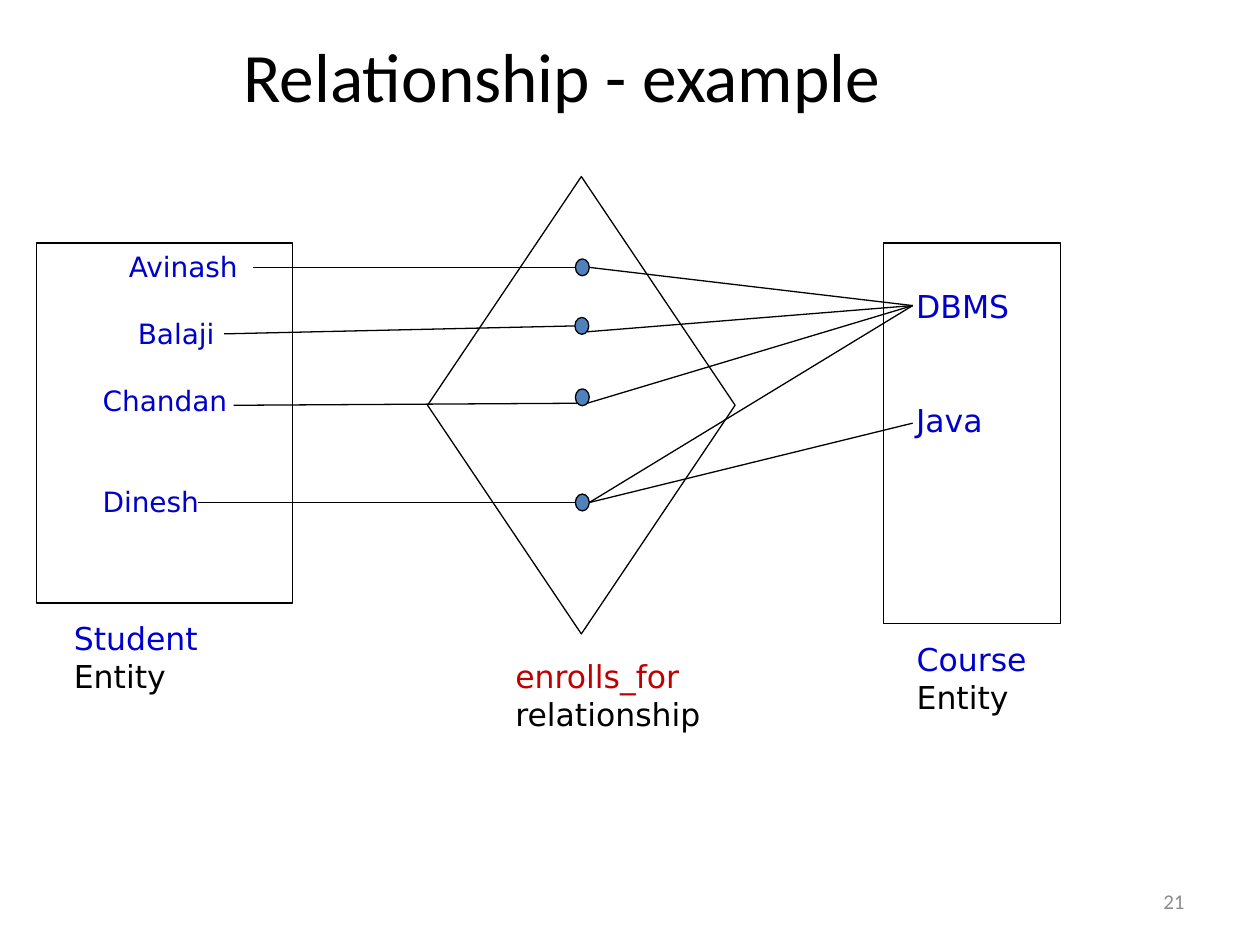
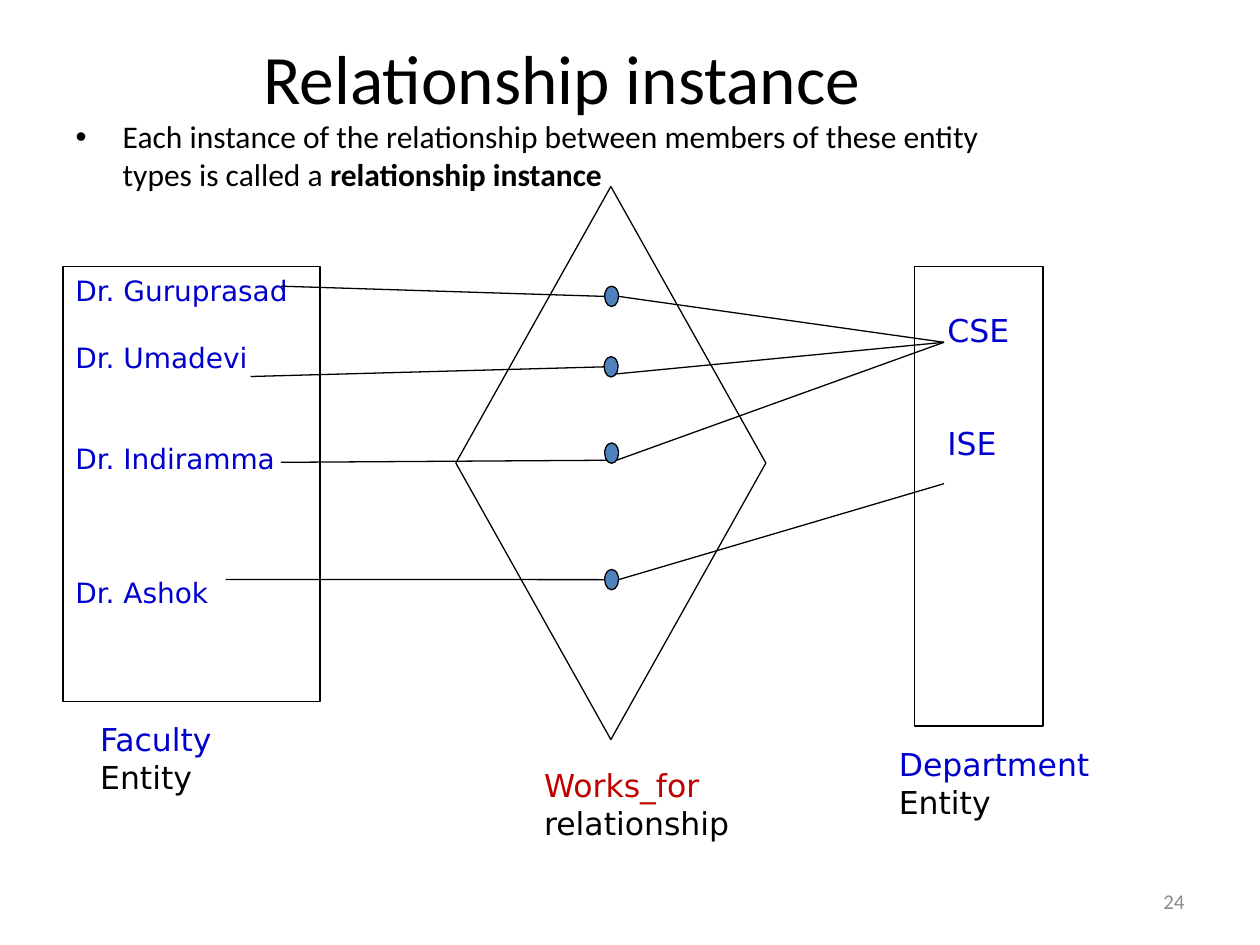
from dataclasses import dataclass

from lxml import etree
from pptx import Presentation
from pptx.dml.color import RGBColor
from pptx.enum.shapes import MSO_CONNECTOR, MSO_SHAPE
from pptx.enum.text import MSO_ANCHOR, MSO_AUTO_SIZE, PP_ALIGN
from pptx.oxml.ns import qn
from pptx.util import Cm, Pt

RECT, DIAMOND, OVAL = MSO_SHAPE.RECTANGLE, MSO_SHAPE.DIAMOND, MSO_SHAPE.OVAL
STRAIGHT = MSO_CONNECTOR.STRAIGHT
TOP, MIDDLE = MSO_ANCHOR.TOP, MSO_ANCHOR.MIDDLE
LEFT, CENTER, RIGHT = PP_ALIGN.LEFT, PP_ALIGN.CENTER, PP_ALIGN.RIGHT
NO_AUTOFIT, GROW = MSO_AUTO_SIZE.NONE, MSO_AUTO_SIZE.SHAPE_TO_FIT_TEXT

BLACK, BLUE, RED, GREY, DOT_BLUE = "000000", "0000CC", "C00000", "8C8C8C", "4F81BD"
HEADING_FONT, DIAGRAM_FONT = "Calibri", "DejaVu Sans"
LINE_FACTOR = 1.2
INSET_TOP = 0.13
DOT_WIDTH = 0.28
LOW_NEAR, LOW_FAR = 0.15, 0.85

Box = tuple[float, float, float, float]


@dataclass(frozen=True)
class Entry:
    text: str
    blank_lines: int = 0
    indent: float = 0


@dataclass(frozen=True)
class Entity:
    box: Box
    entries: tuple[Entry, ...]
    size: int
    top_lines: int = 0


@dataclass(frozen=True)
class Caption:
    box: Box
    name: str
    kind: str
    color: str


@dataclass(frozen=True)
class Link:
    start: tuple[float, float]
    dot: tuple[float, float]
    target_ys: tuple[float, ...]
    low_in: bool = False
    low_out: bool = False


@dataclass(frozen=True)
class Diagram:
    members: Entity
    diamond: Box
    groups: Entity
    captions: tuple[Caption, ...]
    dot_height: float
    target_x: float
    links: tuple[Link, ...]


def rgb(color: str) -> RGBColor:
    return RGBColor.from_string(color)


def lengths(box: Box) -> list:
    return [Cm(v) for v in box]


def style(p, size: float, color: str, font: str, align=LEFT) -> None:
    p.alignment = align
    p.font.size = Pt(size)
    p.font.name = font
    p.font.color.rgb = rgb(color)


def place(sp, box: Box) -> None:
    sp.left, sp.top, sp.width, sp.height = lengths(box)


def add_outline(s, kind, box: Box, fill: str = ""):
    sp = s.shapes.add_shape(kind, *lengths(box))
    sp.shadow.inherit = False
    if fill:
        sp.fill.solid()
        sp.fill.fore_color.rgb = rgb(fill)
    else:
        sp.fill.background()
    sp.line.color.rgb = rgb(BLACK)
    sp.line.width = Pt(0.75)
    return sp


def add_line(s, x1: float, y1: float, x2: float, y2: float) -> None:
    c = s.shapes.add_connector(STRAIGHT, *lengths((x1, y1, x2, y2)))
    c.line.color.rgb = rgb(BLACK)
    c.line.width = Pt(0.75)
    etree.SubElement(c._element.spPr, qn("a:effectLst"))


def add_entity(s, entity: Entity) -> None:
    tf = add_outline(s, RECT, entity.box).text_frame
    line_height = entity.size * LINE_FACTOR
    tf.word_wrap = True
    tf.vertical_anchor = TOP
    tf.margin_top = Cm(INSET_TOP) + Pt(entity.top_lines * line_height)
    for i, entry in enumerate(entity.entries):
        p = tf.add_paragraph() if i else tf.paragraphs[0]
        p.text = entry.text
        style(p, entity.size, BLUE, DIAGRAM_FONT)
        p.space_before = Pt(entry.blank_lines * line_height)
        p._p.get_or_add_pPr().set("marL", str(Cm(entry.indent)))


def add_caption(s, caption: Caption) -> None:
    tf = s.shapes.add_textbox(*lengths(caption.box)).text_frame
    tf.word_wrap = False
    tf.auto_size = GROW
    tf.text = f"{caption.name}\n{caption.kind}"
    for p, color in zip(tf.paragraphs, (caption.color, BLACK)):
        style(p, 18, color, DIAGRAM_FONT)


def add_link(s, link: Link, height: float, target_x: float) -> None:
    x, y = link.dot
    add_outline(s, OVAL, (x, y, DOT_WIDTH, height), DOT_BLUE)
    middle, low = y + height / 2, y + height * LOW_FAR
    in_x, in_y = (x + DOT_WIDTH * LOW_NEAR, low) if link.low_in else (x, middle)
    out_x, out_y = (x + DOT_WIDTH * LOW_FAR, low) if link.low_out else (x + DOT_WIDTH, middle)
    add_line(s, *link.start, in_x, in_y)
    for target_y in link.target_ys:
        add_line(s, out_x, out_y, target_x, target_y)


def add_diagram(s, d: Diagram) -> None:
    add_entity(s, d.members)
    add_outline(s, DIAMOND, d.diamond)
    add_entity(s, d.groups)
    for caption in d.captions:
        add_caption(s, caption)
    for link in d.links:
        add_link(s, link, d.dot_height, d.target_x)


def add_slide(prs, layout: int, title: str, title_height: float, number: int):
    s = prs.slides.add_slide(prs.slide_layouts[layout])
    sp = s.shapes.title
    place(sp, (1.27, 0.89, 20.12, title_height))
    tf = sp.text_frame
    tf.text = title
    tf.auto_size = NO_AUTOFIT
    tf.vertical_anchor = MIDDLE
    style(tf.paragraphs[0], 39.6, BLACK, HEADING_FONT, CENTER)
    tf = s.shapes.add_textbox(*lengths((18.2, 17.65, 5.93, 1.02))).text_frame
    tf.word_wrap = True
    tf.vertical_anchor = MIDDLE
    tf.text = str(number)
    style(tf.paragraphs[0], 12, GREY, HEADING_FONT, RIGHT)
    return s


def add_definition(s, text: str, term: str) -> None:
    sp = s.placeholders[1]
    place(sp, (1.27, 2.24, 19.23, 3.05))
    tf = sp.text_frame
    tf.auto_size = NO_AUTOFIT
    p = tf.paragraphs[0]
    p.add_run().text = text
    r = p.add_run()
    r.text = term
    r.font.bold = True
    style(p, 18, BLACK, HEADING_FONT)
    pPr = p._p.get_or_add_pPr()
    pPr.set("marL", str(Cm(0.95)))
    pPr.set("indent", str(-Cm(0.95)))


ENROLMENT = Diagram(
    members=Entity((0.74, 4.9, 5.16, 7.26), (
        Entry("Avinash", 0, 1.61),
        Entry("Balaji", 1, 1.79),
        Entry("Chandan", 1, 1.08),
        Entry("Dinesh", 2, 1.08),
    ), 16),
    diamond=(8.62, 3.56, 6.2, 9.22),
    groups=Entity((17.81, 4.9, 3.57, 7.67), (
        Entry("DBMS", 0, 0.41), Entry("Java", 2, 0.41),
    ), 18, 1),
    captions=(
        Caption((10.14, 13.13, 4.24, 1.8), "enrolls_for", "relationship", RED),
        Caption((1.24, 12.36, 3.02, 1.8), "Student", "Entity", BLUE),
        Caption((18.23, 12.78, 2.72, 1.8), "Course", "Entity", BLUE),
    ),
    dot_height=0.34,
    target_x=18.4,
    links=(
        Link((5.11, 5.39), (11.6, 5.22), (6.16,)),
        Link((4.52, 6.73), (11.59, 6.4), (6.16,), low_out=True),
        Link((4.71, 8.17), (11.6, 7.84), (6.16,), low_in=True, low_out=True),
        Link((3.99, 10.13), (11.6, 9.96), (8.53, 6.16)),
    ),
)

EMPLOYMENT = Diagram(
    members=Entity((1.27, 5.38, 5.18, 8.76), (
        Entry("Dr. Guruprasad"),
        Entry("Dr. Umadevi", 1),
        Entry("Dr. Indiramma", 2),
        Entry("Dr. Ashok", 3),
    ), 16),
    diamond=(9.19, 3.76, 6.25, 11.15),
    groups=Entity((18.44, 5.38, 2.59, 9.26), (
        Entry("CSE", 0, 0.41), Entry("ISE", 2, 0.41),
    ), 18, 1),
    captions=(
        Caption((10.72, 15.32, 4.27, 2.16), "Works_for", "relationship", RED),
        Caption((1.77, 14.4, 2.77, 2.16), "Faculty", "Entity", BLUE),
        Caption((17.87, 14.9, 4.6, 2.16), "Department", "Entity", BLUE),
    ),
    dot_height=0.41,
    target_x=19.03,
    links=(
        Link((5.66, 5.77), (12.19, 5.77), (6.9,)),
        Link((5.05, 7.59), (12.18, 7.19), (6.9,), low_out=True),
        Link((5.66, 9.32), (12.19, 8.93), (6.9,), low_in=True, low_out=True),
        Link((4.55, 11.68), (12.19, 11.48), (9.75,)),
    ),
)


def main() -> None:
    prs = Presentation()
    prs.slide_width, prs.slide_height = Cm(25.4), Cm(19.05)

    s = add_slide(prs, 5, "Relationship - example", 1.22, 21)
    add_diagram(s, ENROLMENT)

    s = add_slide(prs, 1, "Relationship instance", 1.32, 24)
    add_definition(
        s,
        "Each instance of the relationship between members of these entity types is called a ",
        "relationship instance",
    )
    add_diagram(s, EMPLOYMENT)

    prs.save("out.pptx")


if __name__ == "__main__":
    main()
